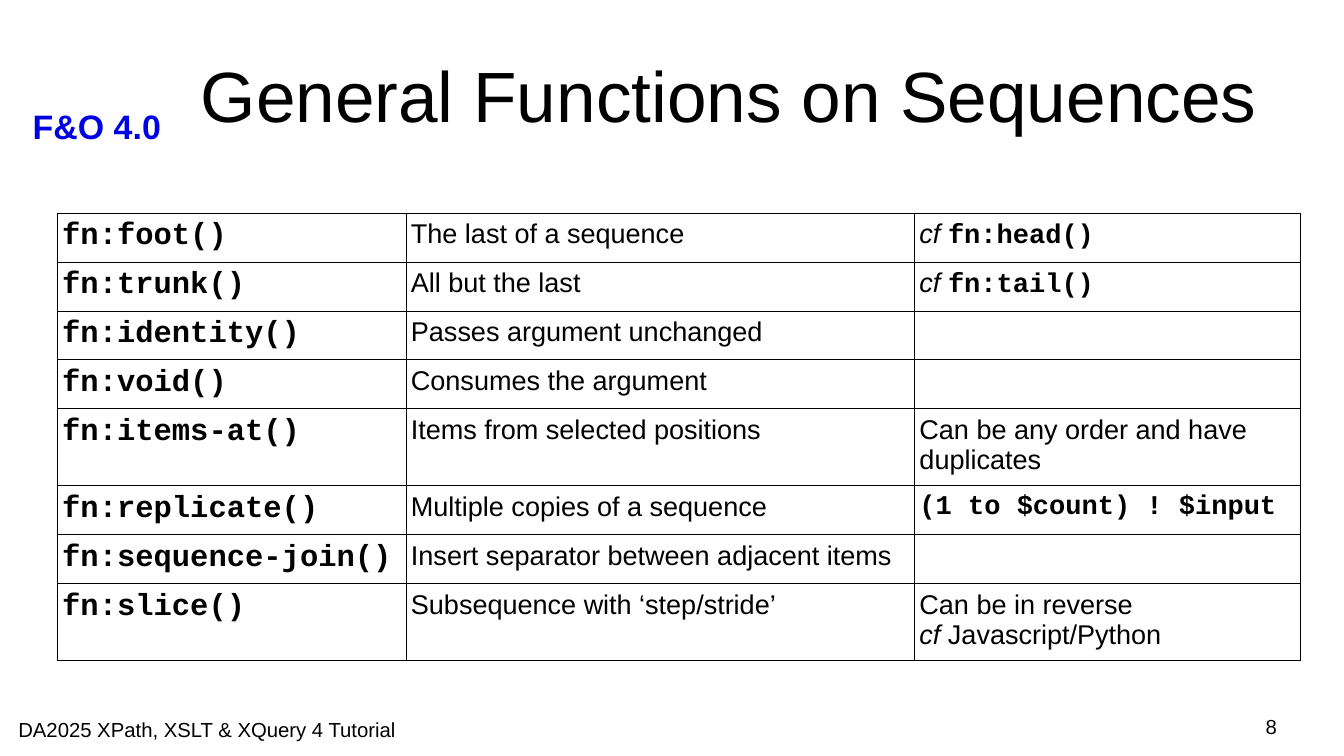
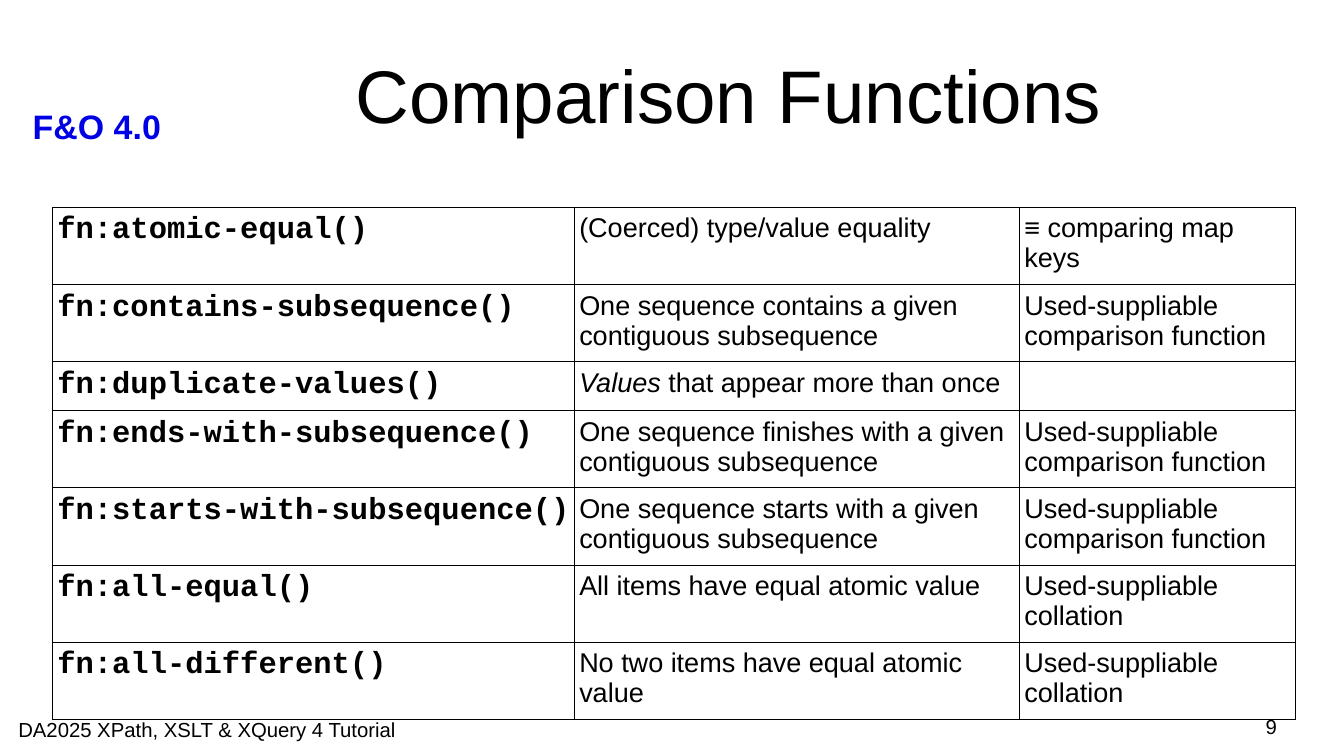
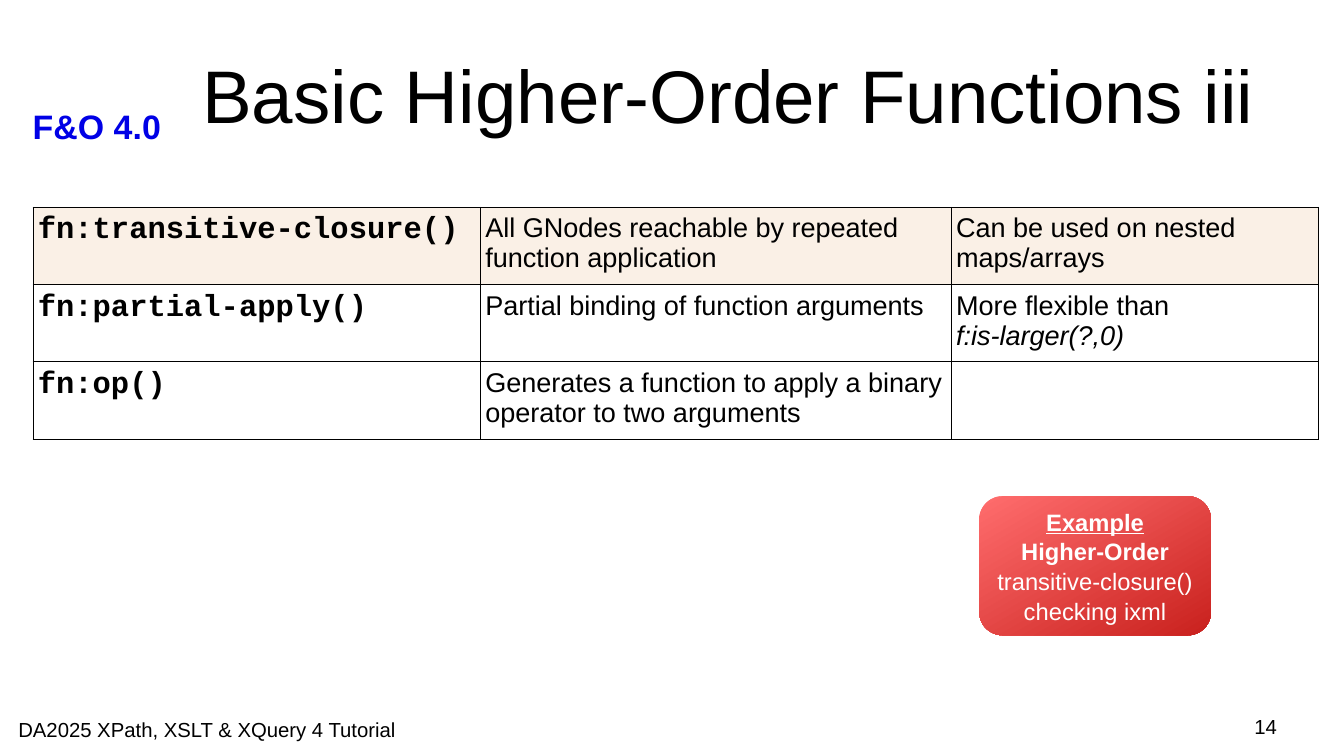
from lxml import etree
from pptx import Presentation
from pptx import util as u
from pptx.dml import color
from pptx.enum import shapes, text
from pptx.oxml import ns

SANS, MONO = "Arial", "Courier New"
BLACK, WHITE, BLUE = "000000", "FFFFFF", "0000E6"
LINEN, CORAL, RED = "FAF0E6", "FF6D6D", "C9211E"
LEFT, MID, RIGHT = text.PP_ALIGN.LEFT, text.PP_ALIGN.CENTER, text.PP_ALIGN.RIGHT
ROW = {1: 0.4, 2: 0.63}
RULE = 0.57


def rgb(code):
    return color.RGBColor.from_string(code)


def style(font, size=16, face=SANS, ink=BLACK, bold=False, slant=False, under=False):
    font.size, font.name = u.Pt(size), face
    font.color.rgb = rgb(ink)
    font.bold, font.italic, font.underline = bold, slant, under


def write(frame, lines, align=LEFT, anchor=text.MSO_ANCHOR.TOP, pad=(0, 0),
          wrap=True, space=1.0, **form):
    frame.word_wrap = wrap
    frame.vertical_anchor = anchor
    frame.margin_left = frame.margin_right = u.Inches(pad[0])
    frame.margin_top = frame.margin_bottom = u.Inches(pad[1])
    for num, line in enumerate([lines] if isinstance(lines, str) else lines):
        para = frame.add_paragraph() if num else frame.paragraphs[0]
        para.alignment, para.line_spacing = align, space
        style(para.font, **form)
        for part in [line] if isinstance(line, (str, tuple)) else line:
            words, extra = (part, {}) if isinstance(part, str) else part
            run = para.add_run()
            run.text = words
            style(run.font, **{**form, **extra})


def code(words):
    return words, {"face": MONO, "bold": True}


def ital(words):
    return words, {"slant": True}


def label(slide, box, words, **form):
    area = slide.shapes.add_textbox(*map(u.Inches, box))
    write(area.text_frame, words, **form)


def edge(cell):
    props = cell._tc.get_or_add_tcPr()
    for spot, side in enumerate(("lnL", "lnR", "lnT", "lnB")):
        line = etree.Element(ns.qn("a:" + side), w=str(u.Pt(RULE)))
        fill = etree.SubElement(line, ns.qn("a:solidFill"))
        etree.SubElement(fill, ns.qn("a:srgbClr"), val=BLACK)
        props.insert(spot, line)


def grid(slide, left, top, cols, rows, tint=()):
    tall = [ROW[row[0]] for row in rows]
    box = left, top, sum(cols), sum(tall)
    table = slide.shapes.add_table(len(rows), len(cols), *map(u.Inches, box)).table
    table.first_row = table.horz_banding = False
    for col, width in zip(table.columns, cols):
        col.width = u.Inches(width)
    for r, (_, name, *notes) in enumerate(rows):
        table.rows[r].height = u.Inches(tall[r])
        for c, words in enumerate([name, *notes]):
            cell = table.cell(r, c)
            form = {} if c else {"size": 18, "face": MONO, "bold": True}
            write(cell.text_frame, words, **form)
            cell.vertical_anchor = text.MSO_ANCHOR.TOP
            cell.margin_left = cell.margin_right = u.Inches(0.04)
            cell.margin_top = cell.margin_bottom = u.Inches(0.05)
            if r in tint:
                cell.fill.solid()
                cell.fill.fore_color.rgb = rgb(LINEN)
            else:
                cell.fill.background()
            edge(cell)


def badge(slide, box, lines):
    shape = slide.shapes.add_shape(shapes.MSO_SHAPE.ROUNDED_RECTANGLE,
                                   *map(u.Inches, box))
    shape.shadow.inherit = False
    shape.line.fill.background()
    shape.fill.gradient()
    shape.fill.gradient_angle = 300
    for stop, ink in zip(shape.fill.gradient_stops, (CORAL, RED)):
        stop.color.rgb = rgb(ink)
    write(shape.text_frame, lines, align=MID, anchor=text.MSO_ANCHOR.MIDDLE,
          pad=(0.08, 0.08), wrap=False, space=1.05, size=14, ink=WHITE)


def page(deck, title, num, size=44):
    slide = deck.slides.add_slide(deck.slide_layouts[6])
    label(slide, (0.17, 0.82, 1.38, 0.41), "F&O 4.0", pad=(0.1, 0.05),
          wrap=False, size=20, ink=BLUE, bold=True)
    label(slide, (1.48, 0.25, 8.99, 1.04), title, align=MID,
          anchor=text.MSO_ANCHOR.MIDDLE, size=size)
    label(slide, (0.15, 5.88, 3.49, 0.19),
          "DA2025 XPath, XSLT & XQuery 4 Tutorial", size=12)
    label(slide, (7.9, 5.86, 2.57, 0.24), str(num), align=RIGHT, size=12)
    return slide


def main():
    deck = Presentation()
    deck.slide_width, deck.slide_height = u.Inches(11.02), u.Inches(6.2)

    slide = page(deck, "General Functions on Sequences", 8, size=42)
    grid(slide, 0.47, 1.75, (2.86, 4.17, 3.16), [
        (1, "fn:foot()", "The last of a sequence", [[ital("cf "), code("fn:head()")]]),
        (1, "fn:trunk()", "All but the last", [[ital("cf "), code("fn:tail()")]]),
        (1, "fn:identity()", "Passes argument unchanged", ""),
        (1, "fn:void()", "Consumes the argument", ""),
        (2, "fn:items-at()", "Items from selected positions",
         "Can be any order and have duplicates"),
        (1, "fn:replicate()", "Multiple copies of a sequence",
         [code("(1 to $count) ! $input")]),
        (1, "fn:sequence-join()", "Insert separator between adjacent items", ""),
        (2, "fn:slice()", "Subsequence with ‘step/stride’",
         ["Can be in reverse", [ital("cf"), " Javascript/Python"]]),
    ])

    slide = page(deck, "Comparison Functions", 9)
    user = "Used-suppliable comparison function"
    coll = "Used-suppliable collation"
    grid(slide, 0.43, 1.7, (4.28, 3.65, 2.26), [
        (2, "fn:atomic-equal()", "(Coerced) type/value equality",
         "≡ comparing map keys"),
        (2, "fn:contains-subsequence()",
         "One sequence contains a given contiguous subsequence", user),
        (1, "fn:duplicate-values()",
         [[ital("Values"), " that appear more than once"]], ""),
        (2, "fn:ends-with-subsequence()",
         "One sequence finishes with a given contiguous subsequence", user),
        (2, "fn:starts-with-subsequence()",
         "One sequence starts with a given contiguous subsequence", user),
        (2, "fn:all-equal()", "All items have equal atomic value", coll),
        (2, "fn:all-different()", "No two items have equal atomic value", coll),
    ])

    slide = page(deck, "Basic Higher-Order Functions iii", 14)
    grid(slide, 0.27, 1.7, (3.67, 3.86, 3.01), [
        (2, "fn:transitive-closure()",
         "All GNodes reachable by repeated function application",
         "Can be used on nested maps/arrays"),
        (2, "fn:partial-apply()", "Partial binding of function arguments",
         ["More flexible than", ital("f:is-larger(?,0)")]),
        (2, "fn:op()",
         "Generates a function to apply a binary operator to two arguments", ""),
    ], tint=(0,))
    badge(slide, (8.03, 4.07, 1.9, 1.14), [
        ("Example", {"bold": True, "under": True}),
        ("Higher-Order", {"bold": True}),
        "transitive-closure()",
        "checking ixml",
    ])

    deck.save("out.pptx")


if __name__ == "__main__":
    main()
